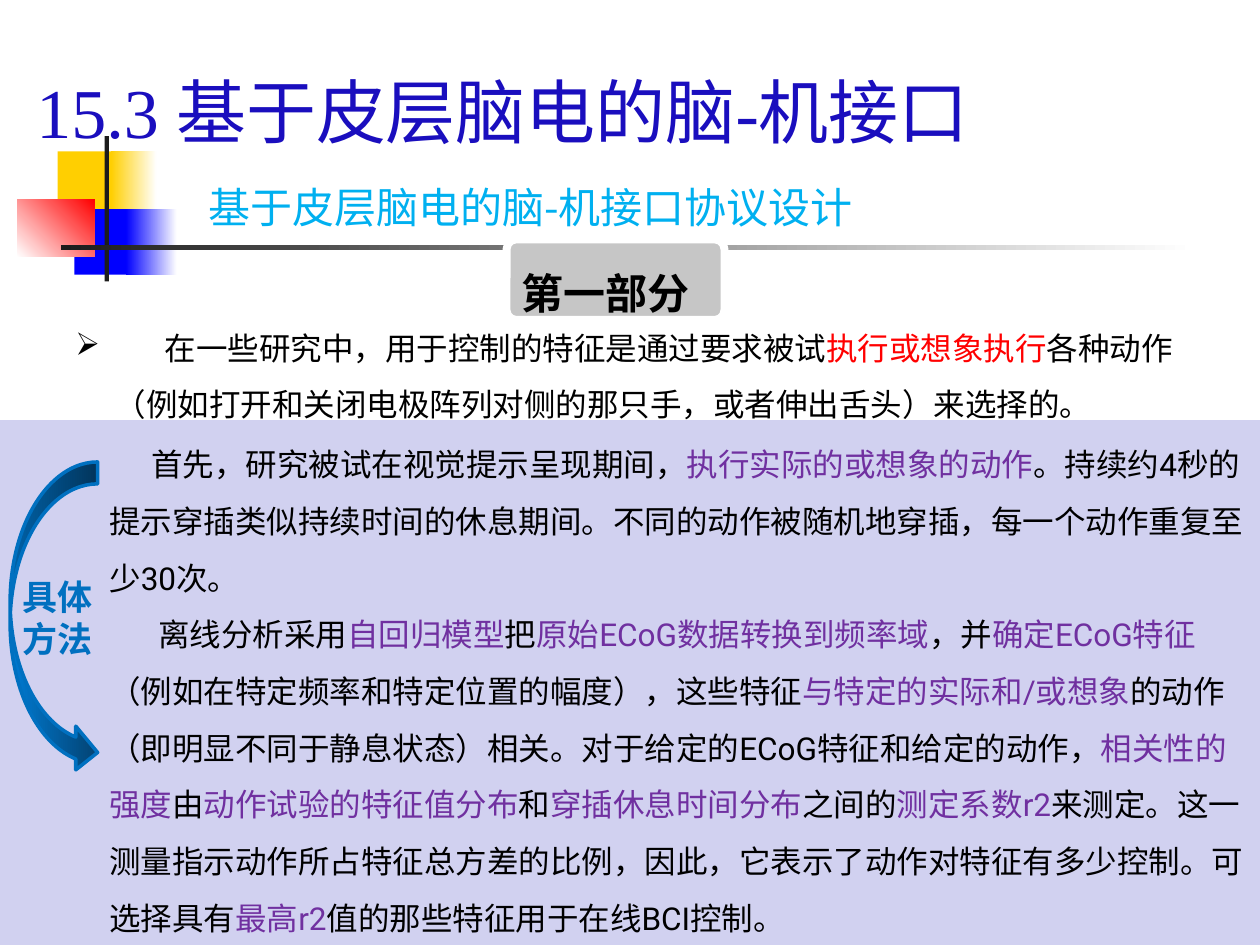
from lxml.etree import SubElement
from pptx import Presentation
from pptx.dml.color import RGBColor
from pptx.enum.shapes import MSO_SHAPE as SHAPE
from pptx.enum.text import MSO_ANCHOR as ANCHOR, PP_ALIGN as ALIGN
from pptx.oxml.ns import qn
from pptx.util import Pt

CJK, LATIN, SERIF = "Noto Sans CJK SC", "Roboto", "Times New Roman"
BLACK, RED, PURPLE, BLUE = "000000", "FF0000", "7030A0", "0070C0"
WHITE, YELLOW, DEEP_BLUE, DARK, LILAC = "FFFFFF", "FFCF01", "0000FF", "1C1C1C", "D1D1F0"

DECOR = [
    ((33, 86.5, 34.5, 37.5), [YELLOW], 0),
    ((63.5, 86.5, 26, 37.5), [YELLOW, WHITE], 0),
    ((42.5, 119.5, 33, 37.5), [DEEP_BLUE], 0),
    ((72, 119.5, 29, 37.5), [DEEP_BLUE, WHITE], 0),
    ((10, 113.8, 44, 33), [WHITE, RED], 45),
    ((59.8, 77.8, 2.5, 83), [DARK], 0),
    ((34.8, 140.2, 648, 2.5), [DARK, WHITE], 0),
    ((0, 240, 69, 300), [LILAC], 0),
]
TITLE = [[("15.3 基于皮层脑电的脑-机接口", "1A0EBE")]]
SUBTITLE = [[("基于皮层脑电的脑-机接口协议设计", "00B0F0")]]
SECTION = [[("第一部分", BLACK)]]
INTRO = [[
    ("\t在一些研究中，用于控制的特征是通过要求被试", BLACK),
    ("执行或想象执行", RED),
    ("各种动作（例如打开和关闭电极阵列对侧的那只手，或者伸出舌头）来选择的。", BLACK),
]]
METHOD = [
    [
        ("首先，研究被试在视觉提示呈现期间，", BLACK),
        ("执行实际的或想象的动作", PURPLE),
        ("。持续约4秒的提示穿插类似持续时间的休息期间。不同的动作被随机地穿插，每一个动作重复至少30次。", BLACK),
    ],
    [
        ("离线分析采用", BLACK),
        ("自回归模型", PURPLE),
        ("把", BLACK),
        ("原始ECoG数据转换到频率域", PURPLE),
        ("，并", BLACK),
        ("确定ECoG特征", PURPLE),
        ("（例如在特定频率和特定位置的幅度），这些特征", BLACK),
        ("与特定的实际和/或想象", PURPLE),
        ("的动作（即明显不同于静息状态）相关。对于给定的ECoG特征和给定的动作，", BLACK),
        ("相关性的强度", PURPLE),
        ("由", BLACK),
        ("动作试验的特征值分布", PURPLE),
        ("和", BLACK),
        ("穿插休息时间分布", PURPLE),
        ("之间的", BLACK),
        ("测定系数r2", PURPLE),
        ("来测定。这一测量指示动作所占特征总方差的比例，因此，它表示了动作对特征有多少控制。可选择具有", BLACK),
        ("最高r2", PURPLE),
        ("值的那些特征用于在线BCI控制。", BLACK),
    ],
]
LABEL = [[("具体", BLUE)], [("方法", BLUE)]]


def rgb(color):
    return RGBColor.from_string(color)


def add_shape(s, kind, box, colors, angle=0, line=None, width=0):
    sp = s.shapes.add_shape(kind, *map(Pt, box))
    sp.shadow.inherit = False
    if len(colors) == 1:
        sp.fill.solid()
        sp.fill.fore_color.rgb = rgb(colors[0])
    else:
        sp.fill.gradient()
        sp.fill.gradient_angle = angle
        for stop, color in zip(sp.fill.gradient_stops, colors):
            stop.color.rgb = rgb(color)
    if line:
        sp.line.color.rgb = rgb(line)
        sp.line.width = Pt(width)
    else:
        sp.line.fill.background()
    return sp


def add_box(s, *box):
    return s.shapes.add_textbox(*map(Pt, box))


def write(sp, paras, size, font, bold=False, align=ALIGN.LEFT, anchor=ANCHOR.TOP,
          spacing=None, indents=(), wrap=True):
    tf = sp.text_frame
    tf.word_wrap = wrap
    tf.vertical_anchor = anchor
    for i, runs in enumerate(paras):
        p = tf.paragraphs[0] if i == 0 else tf.add_paragraph()
        p.alignment = align
        if spacing:
            p.line_spacing = spacing
        if indents:
            p._p.get_or_add_pPr().set("indent", str(Pt(indents[i])))
        for text, color in runs:
            r = p.add_run()
            r.text = text
            r.font.size = Pt(size)
            r.font.bold = bold
            r.font.name = font
            r.font.color.rgb = rgb(color)
            SubElement(r._r.get_or_add_rPr(), qn("a:ea"), typeface=CJK)
    return tf


def add_bullet(p, char, margin, tab):
    pPr = p._p.get_or_add_pPr()
    pPr.set("marL", str(Pt(margin)))
    pPr.set("indent", str(Pt(-margin)))
    SubElement(pPr, qn("a:buChar"), char=char)
    tabs = SubElement(pPr, qn("a:tabLst"))
    SubElement(tabs, qn("a:tab"), pos=str(Pt(tab)), algn="l")


def main():
    prs = Presentation()
    prs.slide_width, prs.slide_height = Pt(720), Pt(540)
    s = prs.slides.add_slide(prs.slide_layouts[6])

    for box, colors, angle in DECOR:
        add_shape(s, SHAPE.RECTANGLE, box, colors, angle)

    write(add_box(s, 13.7, 24.5, 675, 66), TITLE, 40, SERIF, anchor=ANCHOR.BOTTOM)
    write(add_box(s, 112, 100, 434, 36), SUBTITLE, 24, CJK)

    section = add_shape(s, SHAPE.ROUNDED_RECTANGLE, (289.5, 136.8, 124.5, 46),
                        ["C6C6C6"], line=WHITE, width=4.5)
    section.adjustments[0] = 0.12
    write(section, SECTION, 24, CJK, bold=True, anchor=ANCHOR.MIDDLE, spacing=1.5)

    tf = write(add_box(s, 36, 173.5, 667, 73), INTRO, 18, LATIN, spacing=1.5)
    add_bullet(tf.paragraphs[0], "➢", 22.5, 51)

    method = add_shape(s, SHAPE.RECTANGLE, (55.4, 240, 664.6, 300), [LILAC])
    write(method, METHOD, 18, LATIN, spacing=1.5, indents=(24, 28))

    add_shape(s, SHAPE.CURVED_RIGHT_ARROW, (5.8, 264, 50, 178.5),
              ["007BD3", "034373"], line=BLUE, width=2)
    write(add_box(s, 5.8, 325.5, 54.7, 55.5), LABEL, 20, LATIN, bold=True,
          align=ALIGN.CENTER, wrap=False)

    prs.save("out.pptx")


if __name__ == "__main__":
    main()
